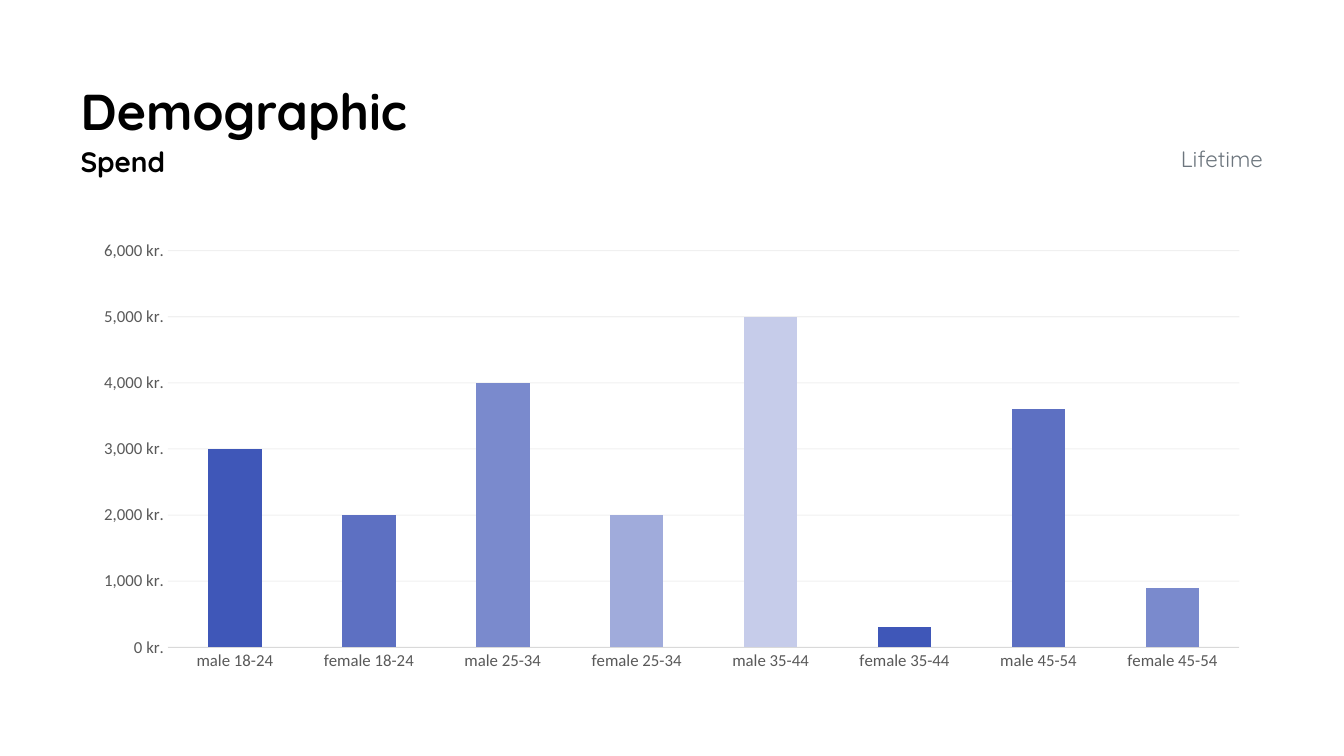
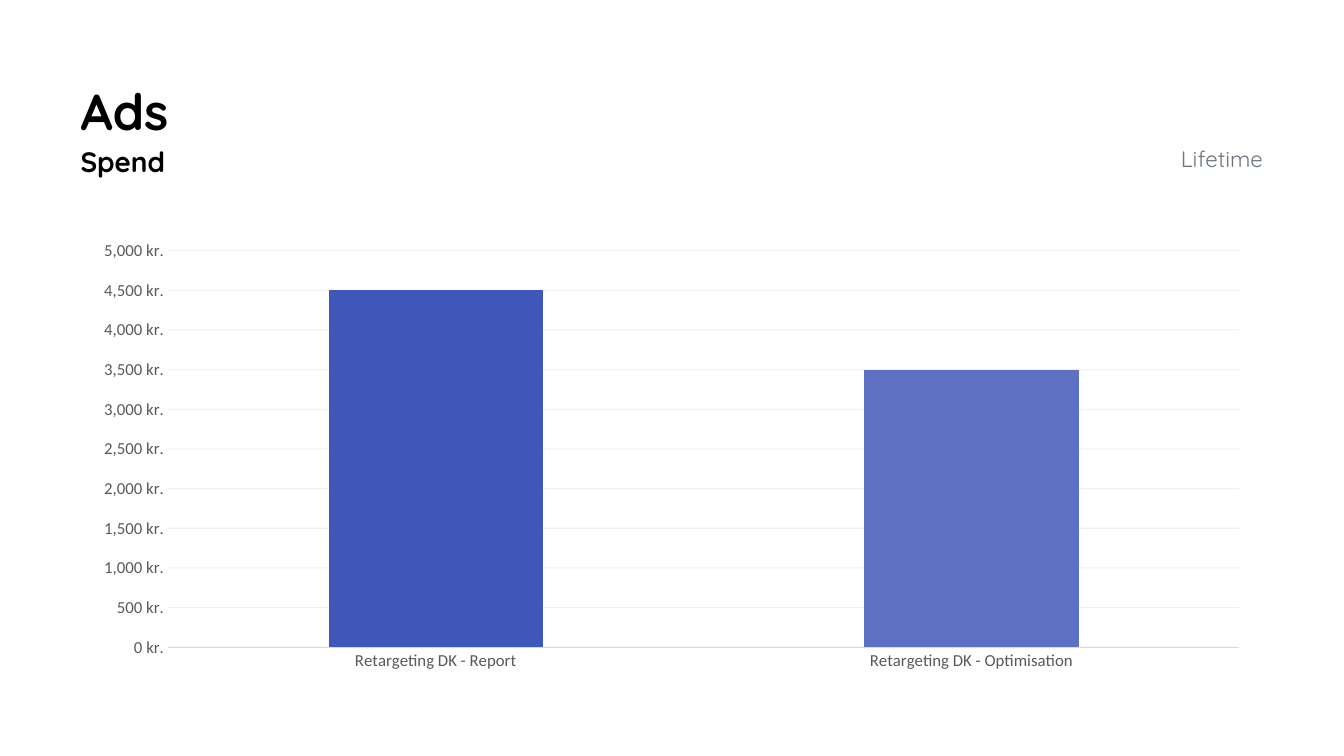
"""Build two spend report slides, each with a heading and a column chart."""
from collections import namedtuple
from itertools import cycle

from lxml.etree import SubElement
from pptx import Presentation
from pptx.chart.data import CategoryChartData
from pptx.dml.color import RGBColor
from pptx.enum.chart import XL_CHART_TYPE, XL_TICK_MARK
from pptx.enum.text import MSO_ANCHOR, MSO_AUTO_SIZE, PP_ALIGN
from pptx.oxml.ns import qn
from pptx.util import Cm, Pt

Theme = namedtuple(
    "Theme",
    "ink muted label axis series outline bars heading_font chart_font "
    "title_size subtitle_size period_size label_size",
)
theme = Theme(
    ink=RGBColor.from_string("000000"),
    muted=RGBColor.from_string("6C757D"),
    label=RGBColor.from_string("595959"),
    axis=RGBColor.from_string("D9D9D9"),
    series=RGBColor.from_string("4472C4"),
    outline=RGBColor.from_string("7A8ACD"),
    bars=[RGBColor.from_string(shade) for shade in
          ("3F57B8", "5D70C2", "7A8ACD", "A0ABDB", "C6CCEA")],
    heading_font="Quicksand",
    chart_font="Calibri",
    title_size=Pt(36),
    subtitle_size=Pt(20),
    period_size=Pt(16),
    label_size=Pt(12),
)

reports = [
    {
        "title": "Demographic",
        "title_width": Cm(8.79),
        "spend": {
            "male 18-24": 3000, "female 18-24": 2000,
            "male 25-34": 4000, "female 25-34": 2000,
            "male 35-44": 5000, "female 35-44": 300,
            "male 45-54": 3600, "female 45-54": 900,
        },
        "maximum": 6000,
        "step": 1000,
    },
    {
        "title": "Ads",
        "title_width": Cm(2.69),
        "spend": {"Retargeting DK - Report": 4500, "Retargeting DK - Optimisation": 3500},
        "maximum": 5000,
        "step": 500,
    },
]


def write(box, text, size, color, bold=True, align=PP_ALIGN.LEFT):
    """Put one unwrapped line of heading text in a box without margins."""
    frame = box.text_frame
    frame.margin_left = frame.margin_top = frame.margin_right = frame.margin_bottom = 0
    frame.word_wrap = False
    frame.auto_size = MSO_AUTO_SIZE.SHAPE_TO_FIT_TEXT
    frame.vertical_anchor = MSO_ANCHOR.TOP
    para = frame.paragraphs[0]
    para.alignment = align
    span = para.add_run()
    span.text = text
    span.font.name = theme.heading_font
    span.font.size = size
    span.font.bold = bold
    span.font.color.rgb = color


def style_axis(axis):
    """Give an axis its label font and remove its tick marks."""
    axis.major_tick_mark = axis.minor_tick_mark = XL_TICK_MARK.NONE
    font = axis.tick_labels.font
    font.name = theme.chart_font
    font.size = theme.label_size
    font.color.rgb = theme.label


deck = Presentation()
deck.slide_width, deck.slide_height = Cm(33.87), Cm(19.05)
left, content_width = Cm(2.03), Cm(29.8)
small_width = Cm(2.82)

for report in reports:
    page = deck.slides.add_slide(deck.slide_layouts[5])
    title = page.shapes.title
    title.left, title.top = left, Cm(2.03)
    title.width, title.height = report["title_width"], Cm(1.55)
    write(title, report["title"], theme.title_size, theme.ink)

    data = CategoryChartData(number_format='#,##0\\ "kr."')
    data.categories = report["spend"].keys()
    data.add_series("Series 1", report["spend"].values())
    chart = page.shapes.add_chart(
        XL_CHART_TYPE.COLUMN_CLUSTERED, left, Cm(5.84), content_width, Cm(11.3), data
    ).chart
    chart.has_legend = chart.has_title = False
    chart.font.name = theme.chart_font
    chart.font.size = Pt(10)
    chart.font.color.rgb = theme.ink

    category_axis, value_axis = chart.category_axis, chart.value_axis
    style_axis(category_axis)
    category_axis.format.line.color.rgb = theme.axis
    category_axis.format.line.width = Pt(0.75)
    style_axis(value_axis)
    value_axis.format.line.fill.background()
    value_axis.minimum_scale, value_axis.maximum_scale = 0, report["maximum"]
    value_axis.major_unit = report["step"]
    value_axis.tick_labels.number_format = '#,##0\\ "kr."'
    value_axis.tick_labels.number_format_is_linked = False
    value_axis.has_major_gridlines = True
    gridlines = value_axis.major_gridlines
    gridlines.format.line.color.rgb = theme.ink
    gridlines.format.line.width = Pt(0.75)
    for color in value_axis._element.find(qn("c:majorGridlines")).iter(qn("a:srgbClr")):
        SubElement(color, qn("a:alpha")).set("val", "5000")

    plot = chart.plots[0]
    plot.vary_by_categories = False
    plot.gap_width = 150
    series = plot.series[0]
    series.format.fill.solid()
    series.format.fill.fore_color.rgb = theme.series
    series.format.line.color.rgb = theme.outline
    series.format.line.width = Pt(1.75)
    for index, shade in zip(range(len(report["spend"])), cycle(theme.bars)):
        bar = series.points[index].format
        bar.fill.solid()
        bar.fill.fore_color.rgb = shade
        bar.line.fill.background()

    subtitle = page.shapes.add_textbox(left, Cm(3.63), small_width, Cm(0.86))
    write(subtitle, "Spend", theme.subtitle_size, theme.ink)
    period = page.shapes.add_textbox(
        left + content_width - small_width, Cm(3.66), small_width, Cm(0.69)
    )
    write(period, "Lifetime", theme.period_size, theme.muted, bold=False, align=PP_ALIGN.RIGHT)

deck.save("out.pptx")
